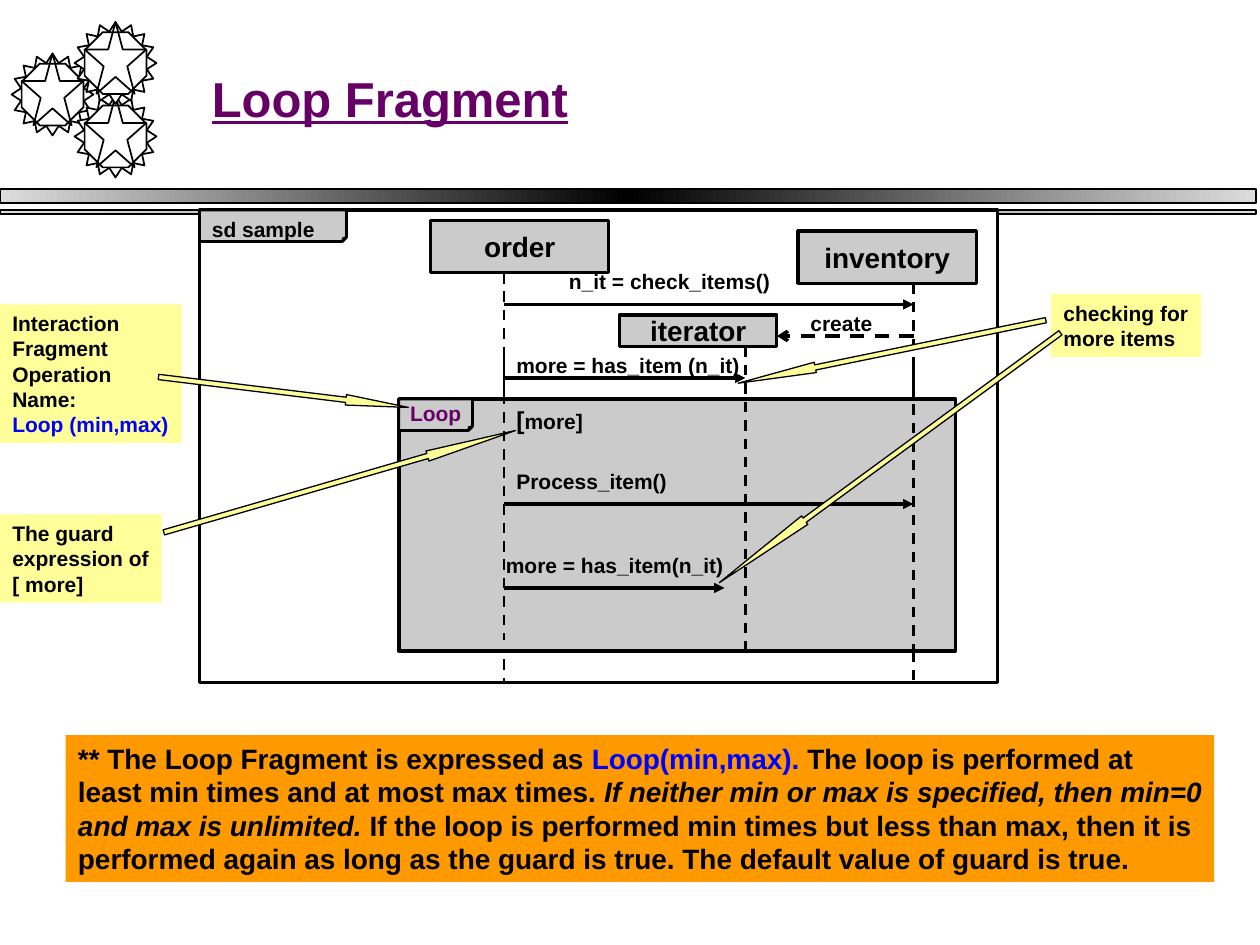
from copy import deepcopy
from math import atan2, degrees, hypot
from typing import NamedTuple, Optional

from lxml import etree
from pptx import Presentation
from pptx import util as u
from pptx.dml.color import RGBColor
from pptx.enum import dml, shapes, text
from pptx.oxml import ns

COLUMNS, ROWS = 120, 90
CELL = u.Inches(10) / COLUMNS
SHAPE = shapes.MSO_SHAPE
MIDDLE = text.MSO_ANCHOR.MIDDLE

class Theme(NamedTuple):
    font: str = "Arial"
    ink: str = "000000"
    paper: str = "FFFFFF"
    silver: str = "DDDDDD"
    steel: str = "969696"
    panel: str = "CBCBCB"
    note: str = "FFFF99"
    summary: str = "FF9900"
    title: str = "660066"
    accent: str = "0000FF"
    title_size: int = 28
    head_size: int = 16
    guard_size: int = 14
    body_size: int = 12

THEME = Theme()

class Box(NamedTuple):
    left: float
    top: float
    width: float
    height: float

class Span(NamedTuple):
    text: str
    color: Optional[str] = None
    size: Optional[int] = None
    italic: Optional[bool] = None

class Block(NamedTuple):
    box: Box
    lines: list
    fill: Optional[str] = None
    size: int = THEME.body_size
    wrap: bool = True

class Link(NamedTuple):
    start: tuple
    end: tuple
    weight: float = 1.75
    dashed: bool = False
    head: Optional[str] = "triangle"

class Pointer(NamedTuple):
    tail: tuple
    tip: tuple

def grid(*cells: float) -> list:
    return [u.Emu(round(cell * CELL)) for cell in cells]

def rgb(color: str) -> RGBColor:
    return RGBColor.from_string(color)

def draw_shape(slide, kind, box: Box, fill: Optional[str] = None, weight: float = 0, **guides: float):
    shape = slide.shapes.add_shape(kind, *grid(*box))
    shape.shadow.inherit = False
    shape.fill.background()
    shape.line.fill.background()
    if fill:
        shape.fill.solid()
        shape.fill.fore_color.rgb = rgb(fill)
    if weight:
        shape.line.color.rgb = rgb(THEME.ink)
        shape.line.width = u.Pt(weight)
    if guides:
        values = shape.element.find(".//" + ns.qn("a:avLst"))
        values[:] = []
        for name, share in guides.items():
            etree.SubElement(values, ns.qn("a:gd"), name=name, fmla=f"val {round(share * 100000)}")
    return shape

def write(shape, lines: list, size: int, color: str = THEME.ink, wrap: bool = False,
          align=text.PP_ALIGN.LEFT, anchor=text.MSO_ANCHOR.TOP) -> None:
    frame = shape.text_frame
    frame.word_wrap, frame.vertical_anchor = wrap, anchor
    for index, line in enumerate(lines):
        paragraph = frame.add_paragraph() if index else frame.paragraphs[0]
        paragraph.alignment = align
        font = paragraph.font
        font.name, font.size, font.bold = THEME.font, u.Pt(size), True
        font.color.rgb = rgb(color)
        for span in [Span(line)] if isinstance(line, str) else line:
            run = paragraph.add_run()
            run.text, run.font.italic = span.text, span.italic
            if span.color:
                run.font.color.rgb = rgb(span.color)
            if span.size:
                run.font.size = u.Pt(span.size)

def draw_block(slide, block: Block) -> None:
    if block.fill:
        shape = draw_shape(slide, SHAPE.RECTANGLE, block.box, block.fill)
    else:
        shape = slide.shapes.add_textbox(*grid(*block.box))
    write(shape, block.lines, block.size, wrap=block.wrap)

def draw_head(slide, box: Box, name: str) -> None:
    shape = draw_shape(slide, SHAPE.RECTANGLE, box, THEME.panel, 1.75)
    write(shape, [name], THEME.head_size, align=text.PP_ALIGN.CENTER, anchor=MIDDLE)

def draw_frame(slide, box: Box, tab_width: float, fill: str):
    draw_shape(slide, SHAPE.RECTANGLE, box, fill, 2)
    tab = Box(box.left, box.top, tab_width, 3)
    return draw_shape(slide, SHAPE.FOLDED_CORNER, tab, THEME.panel, 1.5, adj=0.125)

def draw_link(slide, link: Link) -> None:
    line = slide.shapes.add_connector(shapes.MSO_CONNECTOR.STRAIGHT, *grid(*link.start, *link.end))
    line.line.color.rgb = rgb(THEME.ink)
    line.line.width = u.Pt(link.weight)
    if link.dashed:
        line.line.dash_style = dml.MSO_LINE.DASH
    if link.head:
        etree.SubElement(line.element.find(".//" + ns.qn("a:ln")), ns.qn("a:tailEnd"), type=link.head)
    etree.SubElement(line.element.spPr, ns.qn("a:effectLst"))

def draw_lifeline(slide, column: float, top: float, bottom: float) -> None:
    draw_link(slide, Link((column, top), (column, bottom), 1.5, True, None))

def draw_pointer(slide, pointer: Pointer) -> None:
    (tail_x, tail_y), (tip_x, tip_y) = pointer
    length = hypot(tail_x - tip_x, tail_y - tip_y)
    box = Box((tail_x + tip_x - length) / 2, (tail_y + tip_y - 1) / 2, length, 1)
    shape = draw_shape(slide, SHAPE.LEFT_ARROW, box, THEME.note, 0.75, adj1=0.5, adj2=length / 4)
    shape.rotation = degrees(atan2(tail_y - tip_y, tail_x - tip_x))

def draw_gear(slide, x: float, y: float) -> None:
    outer, inner = 3.9, 2.94
    rim = Box(x - outer, y - outer, 2 * outer, 2 * outer)
    draw_shape(slide, SHAPE.STAR_16_POINT, rim, THEME.paper, 1, adj=0.39)
    draw_shape(slide, SHAPE.STAR_5_POINT, Box(x - inner, y - outer, 2 * inner, 6.84), THEME.paper, 1)
    draw_shape(slide, SHAPE.OCTAGON, Box(x - inner, y - inner, 2 * inner, 2 * inner), weight=1)

def draw_bar(slide, top: float, height: float, middle: str) -> None:
    bar = draw_shape(slide, SHAPE.RECTANGLE, Box(0, top, 119.64, height), weight=1)
    bar.fill.gradient()
    bar.fill.gradient_angle = 0
    stops = bar.element.find(".//" + ns.qn("a:gsLst"))
    stops.append(deepcopy(stops[0]))
    for stop, position, color in zip(bar.fill.gradient_stops, (0, 0.5, 1), (THEME.silver, middle, THEME.silver)):
        stop.position, stop.color.rgb = position, rgb(color)

LABELS = [
    Block(Box(19, 20, 14, 3.6), ["sd sample"]),
    Block(Box(48, 44, 17, 3.6), ["Process_item()"]),
    Block(Box(48, 38, 15, 4), [[Span("[", size=THEME.guard_size), Span("more]")]]),
    Block(Box(47, 52, 24, 3.6), ["more = has_item(n_it)"]),
    Block(Box(48, 33, 25, 3.6), ["more = has_item (n_it)"]),
    Block(Box(53, 25, 26, 3.6), ["n_it = check_items()"]),
    Block(Box(76, 29, 8.3, 3.6), ["create"], wrap=False)]
NOTES = [
    Block(Box(0, 29, 17.3, 13.2), ["Interaction", "Fragment", "Operation", "Name:",
          [Span("Loop (min,max)", THEME.accent)]], THEME.note, wrap=False),
    Block(Box(0, 49, 15.4, 8.4), ["The guard", "expression of", "[ more]"], THEME.note, wrap=False),
    Block(Box(100.1, 28, 14.3, 6), ["checking for", "more items"], THEME.note, wrap=False),
    Block(Box(6.25, 70, 109.4, 14), [
        [Span("** The Loop Fragment is expressed as "), Span("Loop(min,max).", THEME.accent),
         Span(" The loop is performed at")],
        [Span("least min times and at most max times. "),
         Span("If neither min or max is specified, then min=0", italic=True)],
        [Span("and max is unlimited.", italic=True),
         Span(" If the loop is performed min times but less than max, then it is")],
        "performed again as long as the guard is true. The default value of guard is true.",
    ], THEME.summary, THEME.head_size, wrap=False)]
MESSAGES = [Link((48, 48), (87, 48)), Link((48, 56), (69, 56)), Link((48, 36), (71, 36)),
            Link((48, 29), (87, 29)), Link((87, 32), (74, 32), 2, True, "arrow")]
POINTERS = [Pointer((15.1, 35.9), (38.9, 38.8)), Pointer((15.6, 50.7), (49.1, 41)),
            Pointer((99.6, 30.5), (70.3, 36.5)), Pointer((101, 31.7), (68.5, 55.5))]

def main() -> None:
    presentation = Presentation()
    presentation.slide_width, presentation.slide_height = grid(COLUMNS, ROWS)
    slide = presentation.slides.add_slide(presentation.slide_layouts[6])
    draw_bar(slide, 18, 1.32, THEME.ink)
    draw_bar(slide, 20, 0.36, THEME.steel)
    for center in [(5, 9), (11, 13), (11, 6)]:
        draw_gear(slide, *center)
    title = slide.shapes.add_textbox(*grid(19, 3.6, 95, 11.4))
    write(title, ["Loop Fragment"], THEME.title_size, THEME.title, True, anchor=MIDDLE)
    title.text_frame.paragraphs[0].font.underline = True
    draw_frame(slide, Box(19, 20, 76, 45), 14, THEME.paper)
    draw_head(slide, Box(41, 21, 17, 5), "order")
    draw_head(slide, Box(76, 22, 17, 5), "inventory")
    draw_lifeline(slide, 48, 26, 65)
    draw_lifeline(slide, 87, 27, 65)
    tab = draw_frame(slide, Box(38, 38, 53, 24), 7, THEME.panel)
    write(tab, ["Loop"], THEME.body_size, THEME.title, align=text.PP_ALIGN.CENTER, anchor=MIDDLE)
    for lifeline in [(87, 35, 62), (48, 34, 61), (71, 33, 62)]:
        draw_lifeline(slide, *lifeline)
    draw_head(slide, Box(59, 30, 15, 3), "iterator")
    for draw, items in [(draw_link, MESSAGES), (draw_block, LABELS + NOTES), (draw_pointer, POINTERS)]:
        for item in items:
            draw(slide, item)
    presentation.save("out.pptx")

if __name__ == "__main__":
    main()
